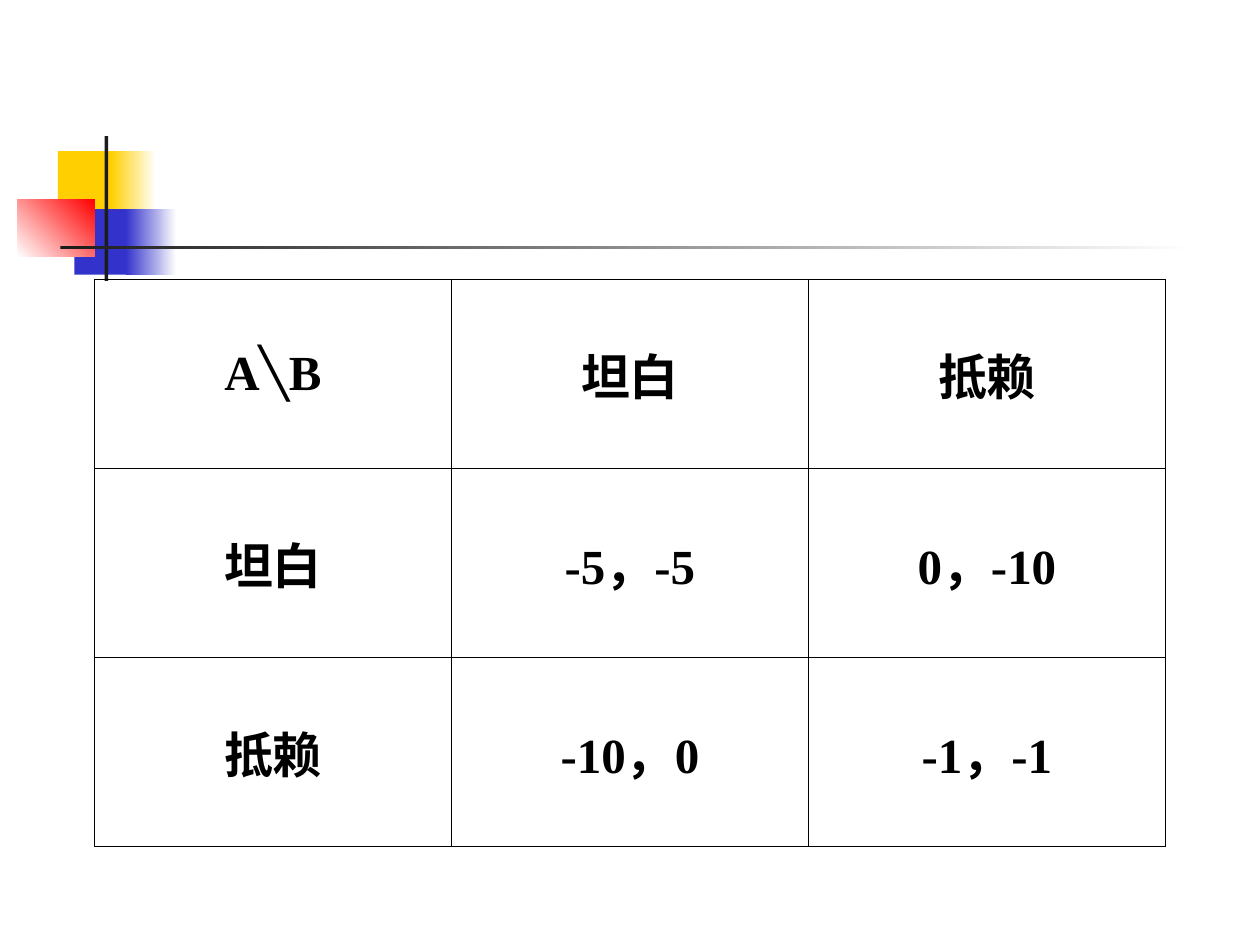
from dataclasses import dataclass
from typing import Optional

from lxml import etree
from pptx import Presentation
from pptx.dml.color import RGBColor
from pptx.enum import shapes, text
from pptx.oxml.ns import qn
from pptx.util import Inches, Pt

COLORS = {
    "yellow": "FFCF01",
    "blue": "3333CC",
    "red": "FF0000",
    "dark": "1C1C1C",
    "white": "FFFFFF",
    "black": "000000",
}
FONT = "Times New Roman"
BORDER_WIDTH = Pt(0.45)
PAYOFFS = [
    ["A╲B", "坦白", "抵赖"],
    ["坦白", "-5，-5", "0，-10"],
    ["抵赖", "-10，0", "-1，-1"],
]


@dataclass
class Block:
    """A rectangle, solid or fading from color to fade_to (angle counter-clockwise)."""
    left: float
    top: float
    width: float
    height: float
    color: str
    fade_to: Optional[str] = None
    angle: float = 0


DECORATION = [
    Block(0.46, 1.2, 0.48, 0.52, "yellow"),
    Block(0.88, 1.2, 0.36, 0.52, "yellow", "white"),
    Block(0.59, 1.66, 0.46, 0.52, "blue"),
    Block(1, 1.66, 0.4, 0.52, "blue", "white"),
    Block(0.14, 1.58, 0.61, 0.46, "white", "red", 45),
    Block(0.83, 1.08, 0.03, 1.15, "dark"),
    Block(0.48, 1.95, 9, 0.03, "dark", "white"),
]


def rgb(name: str) -> RGBColor:
    return RGBColor.from_string(COLORS[name])


def draw_block(slide, block: Block) -> None:
    shape = slide.shapes.add_shape(
        shapes.MSO_SHAPE.RECTANGLE, Inches(block.left), Inches(block.top),
        Inches(block.width), Inches(block.height))
    shape.shadow.inherit = False
    shape.line.fill.background()
    if block.fade_to is None:
        shape.fill.solid()
        shape.fill.fore_color.rgb = rgb(block.color)
        return
    shape.fill.gradient()
    shape.fill.gradient_angle = block.angle
    for stop, name in zip(shape.fill.gradient_stops, (block.color, block.fade_to)):
        stop.color.rgb = rgb(name)


def add_borders(cell) -> None:
    properties = cell._tc.get_or_add_tcPr()
    for index, side in enumerate(("lnL", "lnR", "lnT", "lnB")):
        line = etree.Element(qn(f"a:{side}"), w=str(int(BORDER_WIDTH)))
        fill = etree.SubElement(line, qn("a:solidFill"))
        etree.SubElement(fill, qn("a:srgbClr"), val=COLORS["black"])
        properties.insert(index, line)


def format_cell(cell, content: str) -> None:
    cell.text = content
    cell.vertical_anchor = text.MSO_ANCHOR.MIDDLE
    cell.fill.background()
    add_borders(cell)
    paragraph = cell.text_frame.paragraphs[0]
    paragraph.alignment = text.PP_ALIGN.CENTER
    font = paragraph.font
    font.name, font.size, font.bold = FONT, Pt(28), True
    font.color.rgb = rgb("black")


def draw_payoff_table(slide) -> None:
    table = slide.shapes.add_table(
        len(PAYOFFS), len(PAYOFFS[0]),
        Inches(0.75), Inches(2.22), Inches(8.5), Inches(4.5)).table
    table.first_row = table.horz_banding = False
    for row, contents in enumerate(PAYOFFS):
        for column, content in enumerate(contents):
            format_cell(table.cell(row, column), content)


def main() -> None:
    presentation = Presentation()
    presentation.slide_width, presentation.slide_height = Inches(10), Inches(7.5)
    slide = presentation.slides.add_slide(presentation.slide_layouts[6])
    for block in DECORATION:
        draw_block(slide, block)
    draw_payoff_table(slide)
    presentation.save("out.pptx")


if __name__ == "__main__":
    main()
